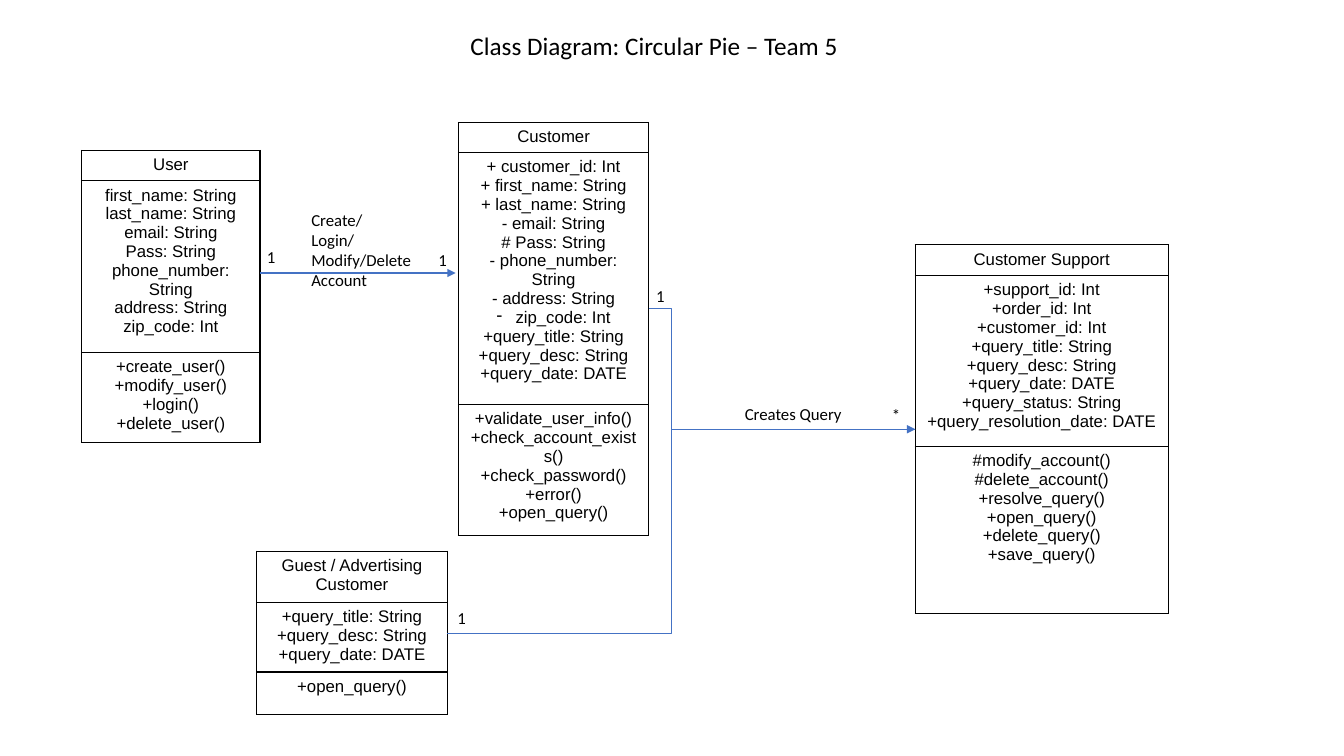
from dataclasses import dataclass

from lxml import etree
from pptx import Presentation
from pptx.dml.color import RGBColor
from pptx.enum.shapes import MSO_CONNECTOR
from pptx.enum.text import MSO_AUTO_SIZE, PP_ALIGN
from pptx.oxml.ns import qn
from pptx.util import Pt

STRAIGHT, ELBOW = MSO_CONNECTOR.STRAIGHT, MSO_CONNECTOR.ELBOW
LEFT, CENTER = PP_ALIGN.LEFT, PP_ALIGN.CENTER
GROW = MSO_AUTO_SIZE.SHAPE_TO_FIT_TEXT
BLACK = RGBColor(0x00, 0x00, 0x00)
BLUE = RGBColor(0x44, 0x72, 0xC4)
DASH_INDENT = Pt(13.5)
DASH_MARK = "•"


@dataclass(frozen=True)
class ClassBox:
    left: float
    top: float
    width: float
    heights: tuple[float, float, float]
    name: str
    attributes: str
    methods: str


@dataclass(frozen=True)
class Relation:
    start: tuple[float, float]
    end: tuple[float, float]
    route: int = STRAIGHT
    preset: str = "line"
    bend: int | None = None
    arrow: bool = False


@dataclass(frozen=True)
class Label:
    text: str
    left: float
    top: float
    width: float = 21
    height: float = 21.6
    size: float = 12
    align: int = LEFT


CLASSES = [
    ClassBox(653.8, 174.8, 180.7, (22, 122, 119.5), "Customer Support",
             "+support_id: Int\n+order_id: Int\n+customer_id: Int\n"
             "+query_title: String\n+query_desc: String\n+query_date: DATE\n"
             "+query_status: String\n+query_resolution_date: DATE",
             "#modify_account()\n#delete_account()\n+resolve_query()\n"
             "+open_query()\n+delete_query()\n+save_query()"),
    ClassBox(327.5, 87.4, 136, (21.6, 180, 93.5), "Customer",
             "+ customer_id: Int\n+ first_name: String\n+ last_name: String\n"
             "- email: String\n# Pass: String\n- phone_number: String\n"
             "- address: String\n•zip_code: Int\n+query_title: String\n"
             "+query_desc: String\n+query_date: DATE",
             "+validate_user_info()\n+check_account_exists()\n"
             "+check_password()\n+error()\n+open_query()"),
    ClassBox(183.5, 393.8, 136, (36.3, 50, 30.6), "Guest / Advertising Customer",
             "+query_title: String\n+query_desc: String\n+query_date: DATE",
             "+open_query()"),
    ClassBox(58.4, 107.5, 127.4, (21.6, 122.6, 64.4), "User",
             "first_name: String\nlast_name: String\nemail: String\n"
             "Pass: String\nphone_number: String\naddress: String\nzip_code: Int",
             "+create_user()\n+modify_user()\n+login()\n+delete_user()"),
]

RELATIONS = [
    Relation((480, 306.6), (653.8, 306.6), arrow=True),
    Relation((463.3, 220.5), (480, 306.6), ELBOW, "bentConnector2"),
    Relation((319.5, 452.6), (653.8, 306.6), ELBOW, "bentConnector3", 48000),
    Relation((185.8, 195), (325.5, 195), arrow=True),
]

LABELS = [
    Label("Class Diagram: Circular Pie – Team 5", 325.4, 18, 283.7, 29, 18, CENTER),
    Label("Creates Query", 524.9, 285.1, 85),
    Label("Create/Login/Modify/Delete Account", 215.3, 146.2, 90.7, 67.7),
    Label("1", 183.6, 172.8),
    Label("1", 319.7, 430.6),
    Label("1", 461.5, 200.9),
    Label("*", 630, 285.8),
    Label("1", 306, 175),
]


def write_run(paragraph, text: str, font: str, size: float) -> None:
    run = paragraph.add_run()
    run.text = text
    run.font.name = font
    run.font.size = Pt(size)
    run.font.color.rgb = BLACK


def add_dash(paragraph) -> None:
    properties = paragraph._p.get_or_add_pPr()
    properties.set("marL", str(DASH_INDENT))
    properties.set("indent", str(-DASH_INDENT))
    etree.SubElement(properties, qn("a:buFontTx"))
    etree.SubElement(properties, qn("a:buChar"), char="-")


def style_cell(cell) -> None:
    properties = cell._tc.get_or_add_tcPr()
    for side in ("a:lnL", "a:lnR", "a:lnT", "a:lnB"):
        border = etree.SubElement(properties, qn(side), w=str(Pt(1)))
        fill = etree.SubElement(border, qn("a:solidFill"))
        etree.SubElement(fill, qn("a:srgbClr"), val=str(BLACK))
    cell.fill.background()


def draw_class(slide, box: ClassBox) -> None:
    table = slide.shapes.add_table(
        3, 1, Pt(box.left), Pt(box.top), Pt(box.width), Pt(sum(box.heights))).table
    table.first_row = False
    table.horz_banding = False
    sections = (box.name, box.attributes, box.methods)
    for row, height, section in zip(table.rows, box.heights, sections):
        row.height = Pt(height)
        cell = row.cells[0]
        style_cell(cell)
        for index, member in enumerate(section.split("\n")):
            frame = cell.text_frame
            paragraph = frame.add_paragraph() if index else frame.paragraphs[0]
            paragraph.alignment = CENTER
            if member.startswith(DASH_MARK):
                add_dash(paragraph)
            write_run(paragraph, member.removeprefix(DASH_MARK), "Arial", 12)


def draw_relation(slide, relation: Relation) -> None:
    points = (Pt(value) for value in relation.start + relation.end)
    connector = slide.shapes.add_connector(relation.route, *points)
    connector.line.color.rgb = BLUE
    connector.line.width = Pt(0.75)
    properties = connector._element.spPr
    geometry = properties.find(qn("a:prstGeom"))
    geometry.set("prst", relation.preset)
    if relation.bend is not None:
        etree.SubElement(geometry.find(qn("a:avLst")), qn("a:gd"),
                         name="adj1", fmla=f"val {relation.bend}")
    if relation.arrow:
        etree.SubElement(properties.find(qn("a:ln")), qn("a:tailEnd"), type="triangle")
    etree.SubElement(properties, qn("a:effectLst"))


def draw_label(slide, label: Label) -> None:
    frame = slide.shapes.add_textbox(
        Pt(label.left), Pt(label.top), Pt(label.width), Pt(label.height)).text_frame
    frame.word_wrap = True
    frame.auto_size = GROW
    paragraph = frame.paragraphs[0]
    paragraph.alignment = label.align
    write_run(paragraph, label.text, "Calibri", label.size)


def main() -> None:
    deck = Presentation()
    deck.slide_width, deck.slide_height = Pt(960), Pt(540)
    slide = deck.slides.add_slide(deck.slide_layouts[6])
    for box in CLASSES:
        draw_class(slide, box)
    for relation in RELATIONS:
        draw_relation(slide, relation)
    for label in LABELS:
        draw_label(slide, label)
    deck.save("out.pptx")


if __name__ == "__main__":
    main()
